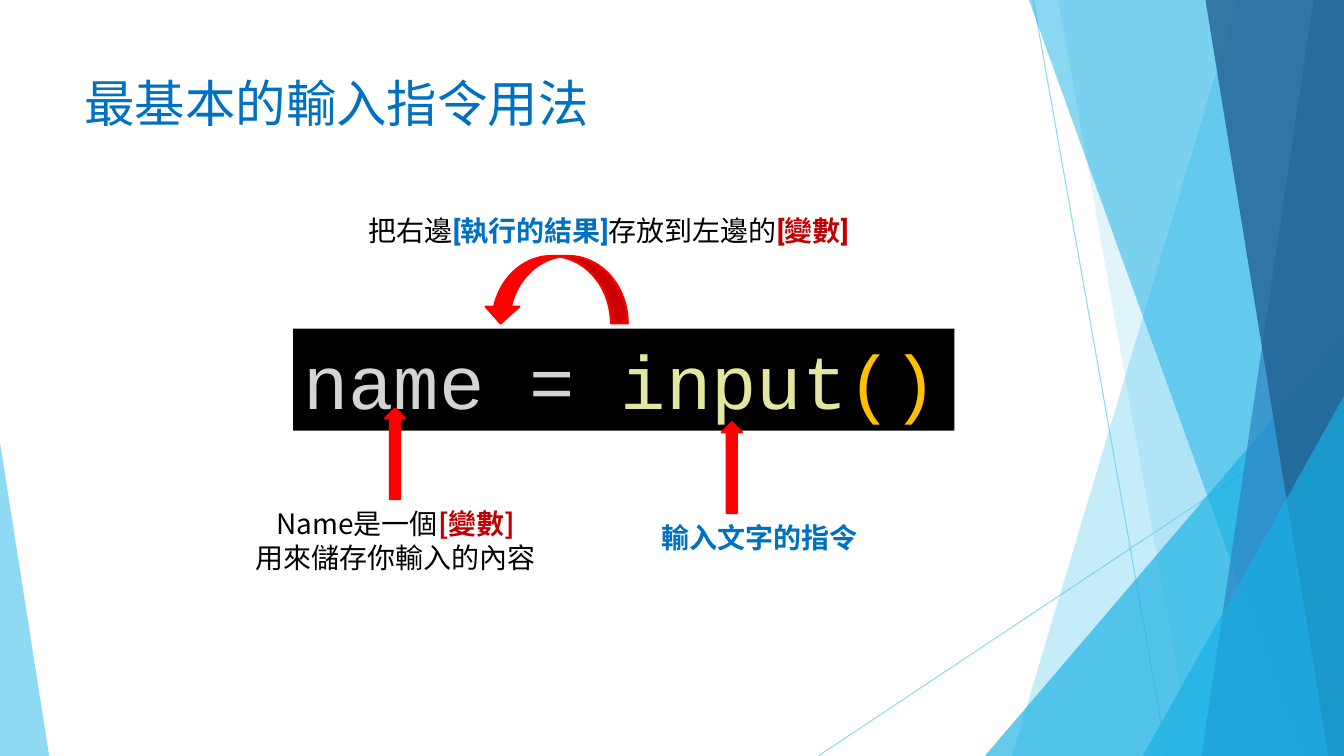
"""Builds a slide that explains the basic input() command."""
import pptx
import pptx.util
import pptx.dml.color
import pptx.enum.shapes
import pptx.enum.text
import pptx.oxml
import pptx.oxml.ns

Cm = pptx.util.Cm
RGBColor = pptx.dml.color.RGBColor
PRESET = pptx.enum.shapes.MSO_SHAPE
ALIGN = pptx.enum.text.PP_ALIGN
qn = pptx.oxml.ns.qn

SKY = RGBColor(0x5F, 0xCB, 0xEF)
CYAN = RGBColor(0x17, 0xB0, 0xE4)
STEEL = RGBColor(0x2E, 0x83, 0xC3)
NAVY = RGBColor(0x22, 0x62, 0x92)
BLACK = RGBColor(0x00, 0x00, 0x00)
RED = RGBColor(0xFF, 0x00, 0x00)
DARK_RED = RGBColor(0xC0, 0x00, 0x00)
BLUE = RGBColor(0x00, 0x70, 0xC0)
CODE_GREY = RGBColor(0xD4, 0xD4, 0xD4)
CODE_YELLOW = RGBColor(0xE3, 0xE6, 0xA0)
CODE_GOLD = RGBColor(0xFF, 0xC0, 0x00)
WIDTH, HEIGHT = 33.87, 19.05


def paint(shape, color, opacity=100):
    shape.shadow.inherit = False
    shape.fill.solid()
    shape.fill.fore_color.rgb = color
    shape.line.fill.background()
    set_opacity(shape, opacity)


def set_opacity(shape, opacity):
    if opacity < 100:
        for tint in shape.element.spPr.iter(qn("a:srgbClr")):
            alpha = pptx.oxml.parse_xml(
                f'<a:alpha {pptx.oxml.ns.nsdecls("a")} val="{opacity * 1000}"/>')
            tint.append(alpha)


deck = pptx.Presentation()
deck.slide_width, deck.slide_height = Cm(WIDTH), Cm(HEIGHT)
slide = deck.slides.add_slide(deck.slide_layouts[6])
shapes = slide.shapes

for start_x, start_y, end_x in [(26.04, 0, 29.41), (WIDTH, 10.24, 20.62)]:
    ray = shapes.add_connector(
        pptx.enum.shapes.MSO_CONNECTOR.STRAIGHT,
        Cm(start_x), Cm(start_y), Cm(end_x), Cm(HEIGHT))
    ray.line.color.rgb = SKY
    ray.line.width = pptx.util.Pt(0.75)
    set_opacity(ray, 70)
    ray.element.spPr.append(
        pptx.oxml.parse_xml(f'<a:effectLst {pptx.oxml.ns.nsdecls("a")}/>'))

facets = [
    ("panel", 31.19, 25.5, SKY, 36),
    ("panel", 26.67, 30.05, SKY, 20),
    ("corner", 24.82, 8.46, CYAN, 66),
    ("panel", 25.93, 32.79, CYAN, 50),
    ("panel", 33.1, 30.28, STEEL, 70),
    ("panel", 30.38, 33.48, NAVY, 80),
    ("corner", 28.8, 9.98, CYAN, 66),
]
for kind, first, second, color, opacity in facets:
    if kind == "panel":
        outline = shapes.build_freeform(Cm(first), 0)
        outline.add_line_segments(
            [(Cm(WIDTH), 0), (Cm(WIDTH), Cm(HEIGHT)), (Cm(second), Cm(HEIGHT))])
        facet = outline.convert_to_shape()
    else:
        facet = shapes.add_shape(
            PRESET.ISOSCELES_TRIANGLE, Cm(first), Cm(second),
            Cm(WIDTH - first), Cm(HEIGHT - second))
        facet.adjustments[0] = 1
    paint(facet, color, opacity)

left_wedge = shapes.add_shape(
    PRESET.ISOSCELES_TRIANGLE, 0, Cm(11.15), Cm(1.24), Cm(7.9))
left_wedge.adjustments[0] = 0
paint(left_wedge, SKY, 70)

code_bar = shapes.add_shape(
    PRESET.RECTANGLE, Cm(7.39), Cm(8.28), Cm(16.66), Cm(2.57))
paint(code_bar, BLACK)

arrows = [
    (PRESET.UP_ARROW, 9.7, 10.29, 0.51, 2.29, 0),
    (PRESET.UP_ARROW, 18.19, 10.64, 0.51, 2.29, 0),
    (PRESET.CURVED_UP_ARROW, 12.19, 6.45, 3.63, 1.7, 180),
]
for preset, left, top, width, height, turn in arrows:
    arrow = shapes.add_shape(preset, Cm(left), Cm(top), Cm(width), Cm(height))
    paint(arrow, RED)
    arrow.line.color.rgb = RED
    arrow.line.width = pptx.util.Pt(1.5)
    arrow.rotation = turn

title_box = shapes.add_textbox(Cm(1.88), Cm(1.7), Cm(23.88), Cm(3.66))
variable_box = shapes.add_textbox(Cm(6.15), Cm(12.65), Cm(7.65), Cm(1.96))
command_box = shapes.add_textbox(Cm(16.41), Cm(12.98), Cm(5.51), Cm(1.12))
result_box = shapes.add_textbox(Cm(9.04), Cm(5.26), Cm(13.06), Cm(1.12))

texts = [
    (code_bar, "Courier New", 54, False, ALIGN.LEFT, [
        [("name = ", CODE_GREY, False), ("input", CODE_YELLOW, False),
         ("()", CODE_GOLD, False)]]),
    (title_box, "Roboto", 36, True, ALIGN.LEFT, [
        [("最基本的輸入指令用法", BLUE, False)]]),
    (variable_box, "Noto Sans CJK SC", 20, False, ALIGN.CENTER, [
        [("Name是一個", BLACK, False), ("[變數]", DARK_RED, True)],
        [("用來儲存你輸入的內容", BLACK, False)]]),
    (command_box, "Roboto", 20, False, ALIGN.LEFT, [
        [("輸入文字的指令", BLUE, True)]]),
    (result_box, "Roboto", 20, True, ALIGN.LEFT, [
        [("把右邊", BLACK, False), ("[執行的結果]", BLUE, True),
         ("存放到左邊的", BLACK, False), ("[變數]", DARK_RED, True)]]),
]
for holder, font_name, size, wrap, alignment, lines in texts:
    frame = holder.text_frame
    frame.word_wrap = wrap
    for number, line in enumerate(lines):
        paragraph = frame.add_paragraph() if number else frame.paragraphs[0]
        paragraph.alignment = alignment
        for words, color, bold in line:
            run = paragraph.add_run()
            run.text = words
            run.font.color.rgb = color
            style = {"name": font_name, "size": pptx.util.Pt(size), "bold": bold}
            for attribute, value in style.items():
                setattr(run.font, attribute, value)

deck.save("out.pptx")
